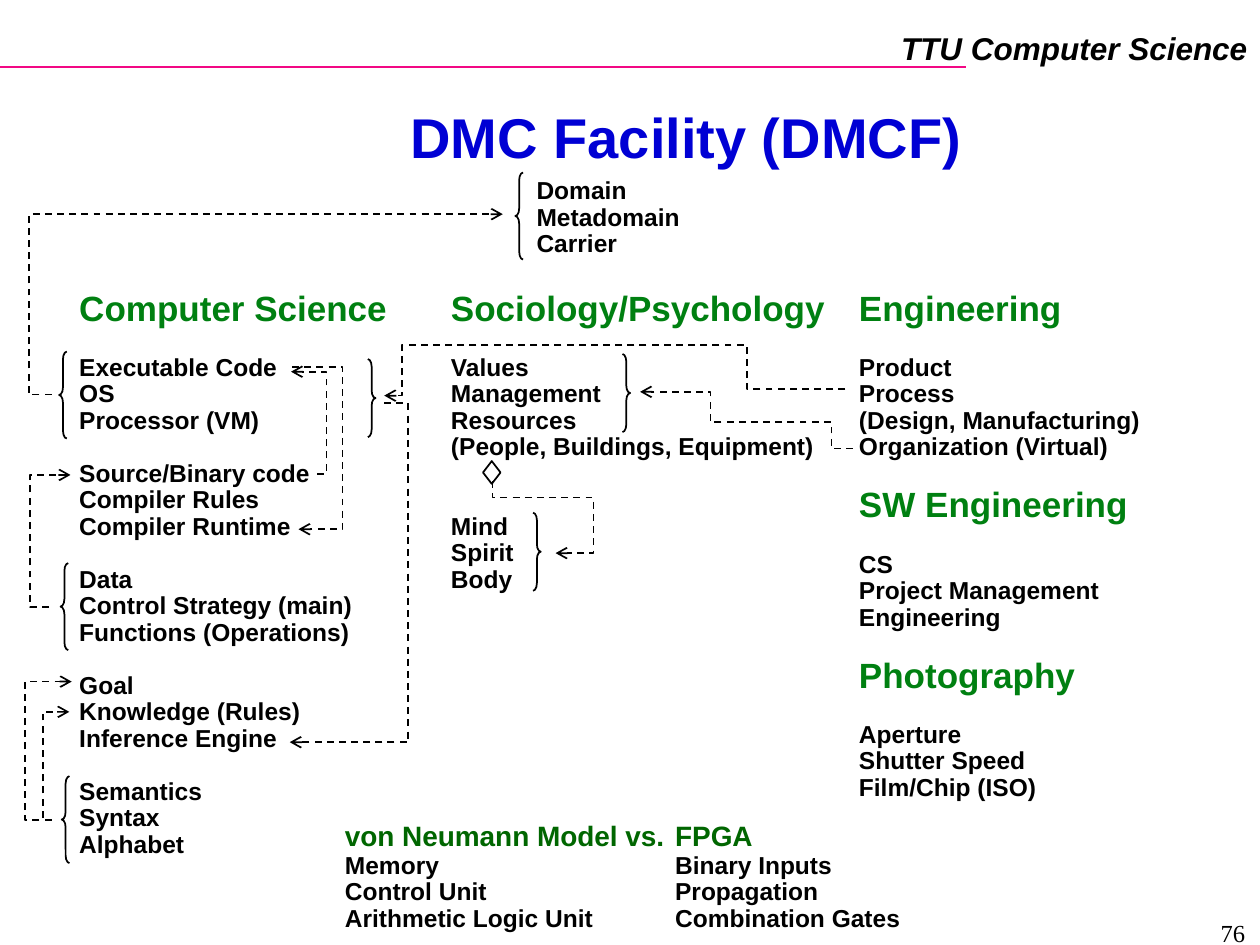
from lxml import etree
from pptx import Presentation
from pptx.dml.color import RGBColor
from pptx.enum import dml, shapes, text
from pptx.oxml.ns import qn
from pptx.util import Pt

BLACK, WHITE, GREEN, DARK_GREEN = "000000", "FFFFFF", "008011", "006600"
BLUE, PINK = "0000D4", "F20884"
GAP = 15.14
BODY = dict(size=Pt(14), name="Arial", bold=True)
TOP, FOOT = 162.7, 466.6

# "#" marks a heading and "" an empty line's worth of space
COLUMNS = [
    (38.2, TOP, 227.5, 331, 20, GREEN, [
        "#Computer Science", "",
        "Executable Code", "OS", "Processor (VM)", "",
        "Source/Binary code", "Compiler Rules", "Compiler Runtime", "",
        "Data", "Control Strategy (main)", "Functions (Operations)", "",
        "Goal", "Knowledge (Rules)", "Inference Engine", "",
        "Semantics", "Syntax", "Alphabet"]),
    (250.6, TOP, 327.6, 180, 20, GREEN, [
        "#Sociology/Psychology", "",
        "Values", "Management", "Resources", "(People, Buildings, Equipment)", "", "",
        "Mind", "Spirit", "Body"]),
    (483.8, TOP, 235.4, 314, 20, GREEN, [
        "#Engineering", "",
        "Product", "Process", "(Design, Manufacturing)", "Organization (Virtual)", "",
        "#SW Engineering", "",
        "CS", "Project Management", "Engineering", "",
        "#Photography", "",
        "Aperture", "Shutter Speed", "Film/Chip (ISO)"]),
    (299.5, 98.6, 99.4, 52.6, 14, BLACK, ["Domain", "Metadomain", "Carrier"]),
    (190, FOOT, 206.6, 69.8, 16, DARK_GREEN, [
        "#von Neumann Model vs.", "Memory", "Control Unit", "Arithmetic Logic Unit"]),
    (378.7, FOOT, 154.8, 69.8, 16, DARK_GREEN, [
        "#FPGA", "Binary Inputs", "Propagation Combination Gates"]),
]
BRACES = [
    (shapes.MSO_SHAPE.LEFT_BRACE, 49.7,
     [(294.5, 98.6), (33.8, 200.9), (34.6, 321.8), (35.3, 443.5)]),
    (shapes.MSO_SHAPE.RIGHT_BRACE, 44.6,
     [(210.2, 205.2), (355.7, 202.3), (304.6, 293)]),
]
ARROWS = [
    [(28.1, 347), (17.3, 347), (17.3, 271.4), (40.3, 271.4)],
    [(29.5, 225.4), (16.6, 225.4), (16.6, 122.4), (287.3, 122.4)],
    [(483.1, 222.5), (427, 222.5), (427, 197.3), (229.7, 197.3), (229.7, 226.1), (219.6, 226.1)],
    [(487.4, 256.3), (475.2, 256.3), (475.2, 241.2), (406.1, 241.2), (406.1, 223.9), (365.8, 223.9)],
    [(281.5, 275), (281.5, 284.4), (339.1, 284.4), (339.1, 316.1), (317.5, 316.1)],
    [(29.5, 468.7), (14.4, 468.7), (14.4, 389.5), (41, 389.5)],
    [(24.5, 467.3), (24.5, 406.8), (39.6, 406.8)],
    [(219.6, 230.4), (233.3, 230.4), (233.3, 424.1), (165.6, 424.1)],
    [(167, 209.5), (195.8, 209.5), (195.8, 302.4), (170.6, 302.4)],
    [(181.4, 270.7), (186.5, 270.7), (186.5, 212.4), (166.3, 212.4)],
]


def paint(fmt, color):
    fmt.solid()
    fmt.fore_color.rgb = RGBColor.from_string(color)


def write(p, content, color, align=text.PP_ALIGN.LEFT, spacing=None, before=0, **font):
    p.alignment, p.line_spacing, p.space_before = align, spacing, Pt(before)
    r = p.add_run()
    r.text = content
    for key, value in {**BODY, **font}.items():
        setattr(r.font, key, value)
    paint(r.font.fill, color)


def add_box(s, x, y, w, h, wrap=True):
    tf = s.shapes.add_textbox(Pt(x), Pt(y), Pt(w), Pt(h)).text_frame
    tf.word_wrap = wrap
    return tf


def add_column(s, x, y, w, h, size, color, lines):
    tf = add_box(s, x, y, w, h)
    p, before = tf.paragraphs[0], 0
    for line in lines:
        if not line:
            before += GAP
            continue
        p = p or tf.add_paragraph()
        head = line.startswith("#")
        write(p, line.lstrip("#"), color if head else BLACK, spacing=0.9,
              before=before, size=Pt(size if head else 14))
        p, before = None, 0


def outline(sp, color=BLACK):
    sp.line.width = Pt(1)
    paint(sp.line.fill, color)


def add_preset(s, kind, x, y, w, h):
    sp = s.shapes.add_shape(kind, Pt(x), Pt(y), Pt(w), Pt(h))
    sp.shadow.inherit = False
    sp.fill.background()
    outline(sp)
    return sp


def add_arrow(s, points):
    start, *rest = [(Pt(x), Pt(y)) for x, y in points]
    fb = s.shapes.build_freeform(*start)
    fb.add_line_segments(rest, close=False)
    sp = fb.convert_to_shape()
    sp.shadow.inherit = False
    sp.fill.background()
    outline(sp)
    sp.line.dash_style = dml.MSO_LINE.DASH
    etree.SubElement(sp.line._get_or_add_ln(), qn("a:tailEnd"), type="arrow")


def main():
    prs = Presentation()
    prs.slide_width, prs.slide_height = Pt(720), Pt(540)
    s = prs.slides.add_slide(prs.slide_layouts[5])

    title = s.shapes.title
    title.left, title.top, title.width, title.height = Pt(99.4), Pt(51.1), Pt(585.4), Pt(59)
    title.text_frame.vertical_anchor = text.MSO_ANCHOR.MIDDLE
    write(title.text_frame.paragraphs[0], "DMC Facility (DMCF)", BLUE,
          text.PP_ALIGN.CENTER, 0.87, size=Pt(32))

    rule = s.shapes.add_connector(shapes.MSO_CONNECTOR.STRAIGHT, 0, Pt(38.2), Pt(552.2), Pt(38.2))
    outline(rule, PINK)
    etree.SubElement(rule._element.spPr, qn("a:effectLst"))
    write(add_box(s, 507.6, 13, 212.4, 28.8, wrap=False).paragraphs[0],
          "TTU Computer Science", BLACK, text.PP_ALIGN.RIGHT, size=Pt(18), italic=True)

    for column in COLUMNS:
        add_column(s, *column)
    for kind, height, places in BRACES:
        for x, y in places:
            add_preset(s, kind, x, y, 4.4, height).adjustments[0] = 1
    diamond = add_preset(s, shapes.MSO_SHAPE.DIAMOND, 274.5, 265, 13, 10)
    diamond.rotation = 270
    paint(diamond.fill, WHITE)
    for points in ARROWS:
        add_arrow(s, points)

    write(add_box(s, 550.8, 521.3, 167.8, 15.8).paragraphs[0], "76", BLACK,
          text.PP_ALIGN.RIGHT, name="Times New Roman", bold=False)
    prs.save("out.pptx")


if __name__ == "__main__":
    main()
